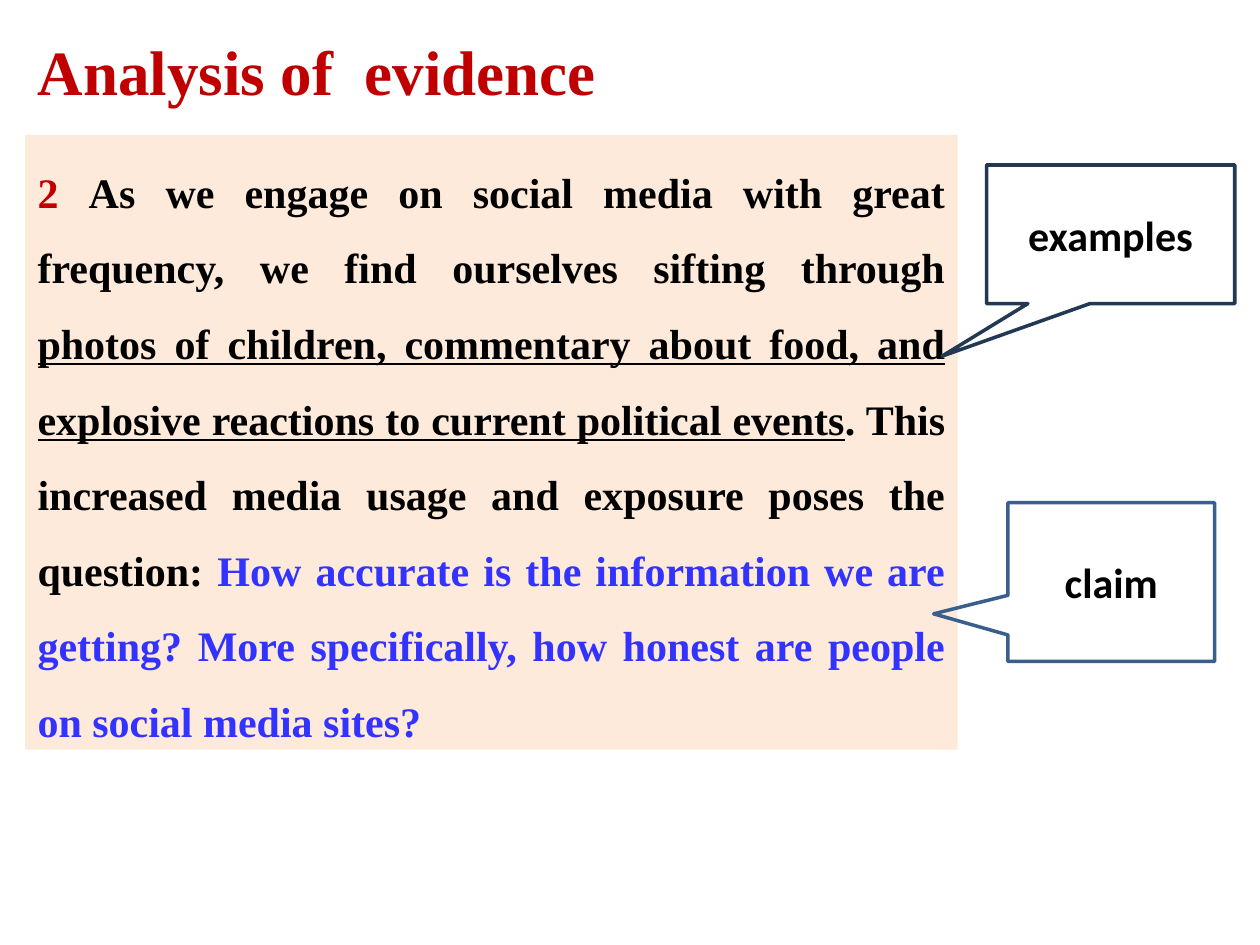
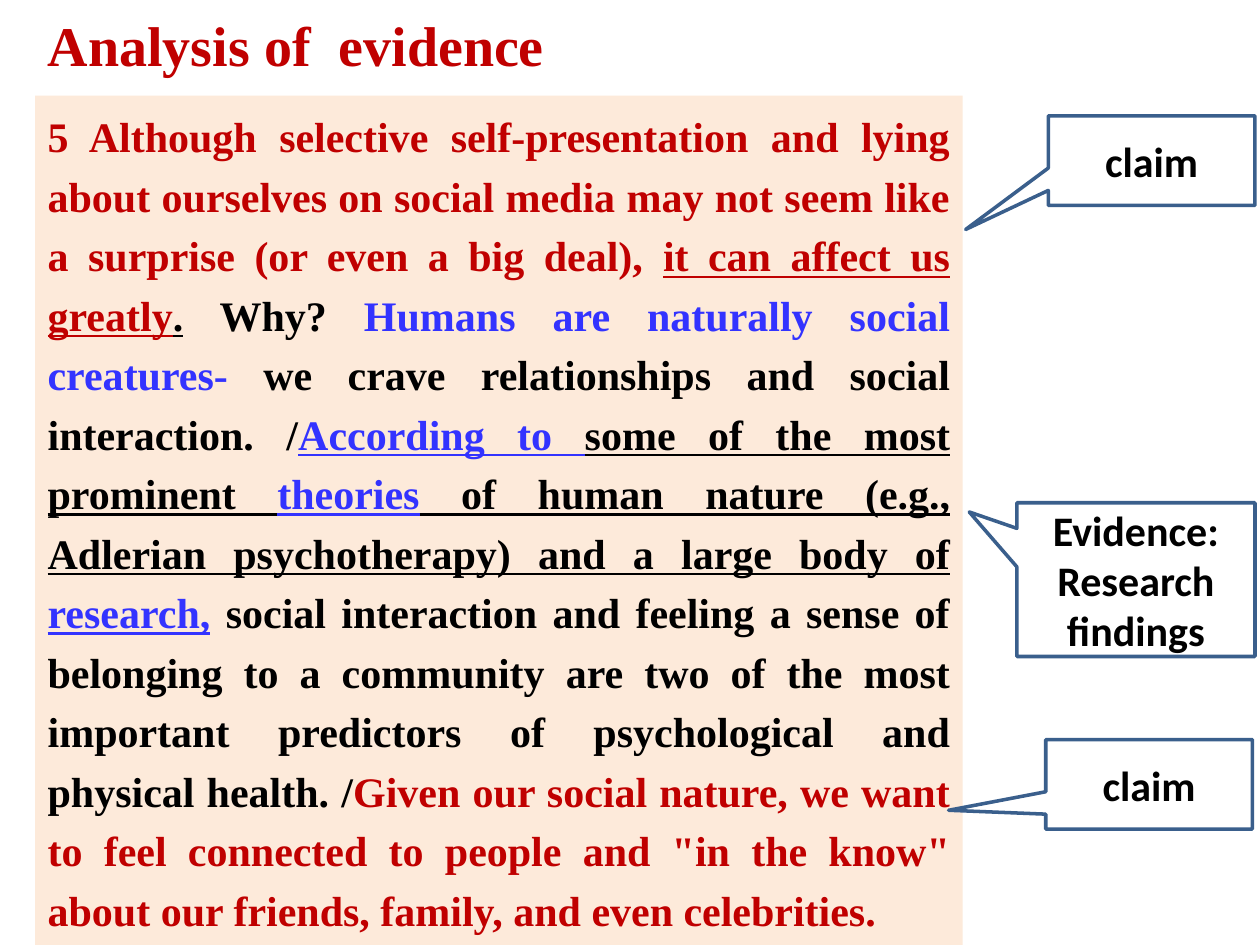
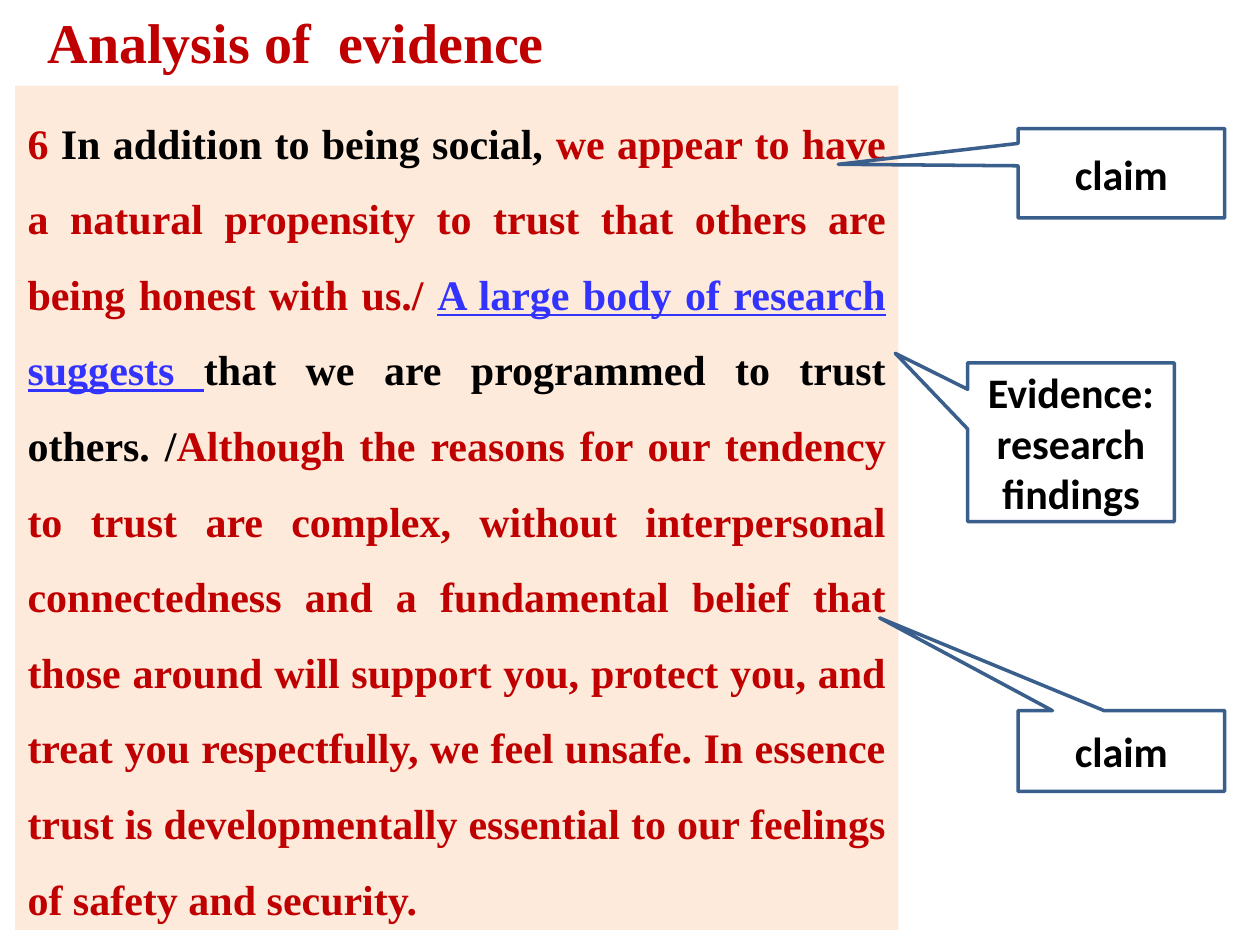
from pptx import Presentation
from pptx.dml.color import RGBColor
from pptx.enum.shapes import MSO_SHAPE
from pptx.enum.text import MSO_ANCHOR, MSO_AUTO_SIZE, PP_ALIGN
from pptx.util import Inches, Pt

COLORS = {
    "red": "C00000",
    "black": "000000",
    "blue": "3333FF",
    "cream": "FDEADA",
    "outline": "3A5F8C",
    "dark outline": "233953",
}
SERIF = "Times New Roman"
SANS = "Calibri"
TITLE = "Analysis of  evidence"
TITLE_ONLY = 5
CLAIM_WIDTH = 1.64


def color(name):
    return RGBColor.from_string(COLORS[name])


def write(frame, paragraphs, font=SERIF, size=24, align=PP_ALIGN.LEFT,
          anchor=MSO_ANCHOR.TOP, line_spacing=None):
    """Fill a text frame; each paragraph is a list of (text, color, format) spans."""
    frame.word_wrap = True
    frame.vertical_anchor = anchor
    for index, spans in enumerate(paragraphs):
        para = frame.add_paragraph() if index else frame.paragraphs[0]
        para.alignment = align
        if line_spacing:
            para.line_spacing = line_spacing
        for text, color_name, *options in spans:
            span = para.add_run()
            span.text = text
            span.font.name = font
            span.font.size = Pt(size)
            span.font.bold = True
            span.font.color.rgb = color(color_name)
            if "underline" in options:
                span.font.underline = True


def add_page(deck, left, top, width, height, size=32):
    """Add a slide with the shared title, placed and sized for this page."""
    page = deck.slides.add_slide(deck.slide_layouts[TITLE_ONLY])
    title = page.shapes.title
    title.left, title.top = Inches(left), Inches(top)
    title.width, title.height = Inches(width), Inches(height)
    title.text_frame.auto_size = MSO_AUTO_SIZE.NONE
    write(title.text_frame, [[(TITLE, "red")]], size=size)
    return page


def add_passage(page, left, top, width, height, spans, line_spacing=1.5):
    box = page.shapes.add_textbox(Inches(left), Inches(top), Inches(width), Inches(height))
    box.fill.solid()
    box.fill.fore_color.rgb = color("cream")
    write(box.text_frame, [spans], align=PP_ALIGN.JUSTIFY, line_spacing=line_spacing)
    box.text_frame.auto_size = MSO_AUTO_SIZE.SHAPE_TO_FIT_TEXT


def add_callout(page, left, top, height, tip, *lines, width=CLAIM_WIDTH, outline="outline"):
    """Add a speech box; tip is its point, from the centre, in widths and heights."""
    callout = page.shapes.add_shape(
        MSO_SHAPE.RECTANGULAR_CALLOUT,
        Inches(left), Inches(top), Inches(width), Inches(height))
    callout.adjustments[0], callout.adjustments[1] = tip
    callout.shadow.inherit = False
    callout.fill.background()
    callout.line.color.rgb = color(outline)
    callout.line.width = Pt(2)
    write(callout.text_frame, [[(line, "black")] for line in lines], font=SANS,
          align=PP_ALIGN.CENTER, anchor=MSO_ANCHOR.MIDDLE)


def add_media_usage_page(deck):
    page = add_page(deck, 0.2, 0.21, 4.87, 0.71, size=36)
    add_passage(page, 0.2, 1.07, 7.4, 4.88, [
        ("2 ", "red"),
        ("As we engage on social media with great frequency, we find ourselves "
         "sifting through ", "black"),
        ("photos of children, commentary about food, and explosive reactions to "
         "current political events", "black", "underline"),
        (". This increased media usage and exposure poses the question: ", "black"),
        ("How accurate is the information we are getting? More specifically, how "
         "honest are people on social media sites?", "blue"),
    ])
    add_callout(page, 8, 3.99, 1.26, (-0.86, 0.2), "claim")
    add_callout(page, 7.83, 1.31, 1.1, (-0.68, 0.88), "examples",
                width=1.97, outline="dark outline")


def add_social_nature_page(deck):
    page = add_page(deck, 0.28, 0.03, 5, 0.64)
    add_passage(page, 0.28, 0.76, 7.36, 6.74, [
        ("5 ", "red"),
        ("Although selective self-presentation and lying about ourselves on social "
         "media may not seem like a surprise (or even a big deal), ", "red"),
        ("it can affect us greatly", "red", "underline"),
        (".", "black", "underline"),
        (" Why? ", "black"),
        ("Humans are naturally social creatures- ", "blue"),
        ("we crave relationships and social interaction. /", "black"),
        ("According to ", "blue", "underline"),
        ("some of the most prominent ", "black", "underline"),
        ("theories", "blue", "underline"),
        (" of human nature (e.g., Adlerian psychotherapy) and a large body of ",
         "black", "underline"),
        ("research,", "blue", "underline"),
        (" social interaction and feeling a sense of belonging to a community are "
         "two of the most important predictors of psychological and physical "
         "health. /", "black"),
        ("Given our social nature, we want to feel connected to people and \"in the "
         "know\" about our friends, family, and even celebrities.", "red"),
    ], line_spacing=Pt(34))
    add_callout(page, 8.32, 0.92, 0.71, (-0.9, 0.77), "claim")
    add_callout(page, 8.07, 3.99, 1.22, (-0.7, -0.44), "Evidence:", "Research findings",
                width=1.89)
    add_callout(page, 8.3, 5.87, 0.71, (-0.97, 0.29), "claim")


def add_trust_page(deck):
    page = add_page(deck, 0.28, 0.01, 5, 0.64)
    add_passage(page, 0.12, 0.68, 7.01, 6.7, [
        ("6", "red"),
        (" In addition to being social, ", "black"),
        ("we appear to have a natural propensity to trust that others are being "
         "honest with us./ ", "red"),
        ("A large body of research suggests ", "blue", "underline"),
        ("that we are programmed to trust others. /", "black"),
        ("Although the reasons for our tendency to trust are complex, without "
         "interpersonal connectedness and a fundamental belief that those around "
         "will support you, protect you, and treat you respectfully, we feel unsafe. "
         "In essence trust is developmentally essential to our feelings of safety "
         "and security.", "red"),
    ])
    add_callout(page, 8.08, 1.02, 0.71, (-1.37, -0.1), "claim")
    add_callout(page, 7.68, 2.88, 1.26, (-0.85, -0.56), "Evidence: research findings")
    add_callout(page, 8.08, 5.64, 0.64, (-1.17, -1.65), "claim")


def main():
    deck = Presentation()
    deck.slide_width, deck.slide_height = Inches(10), Inches(7.5)
    add_media_usage_page(deck)
    add_social_nature_page(deck)
    add_trust_page(deck)
    deck.save("out.pptx")


if __name__ == "__main__":
    main()
